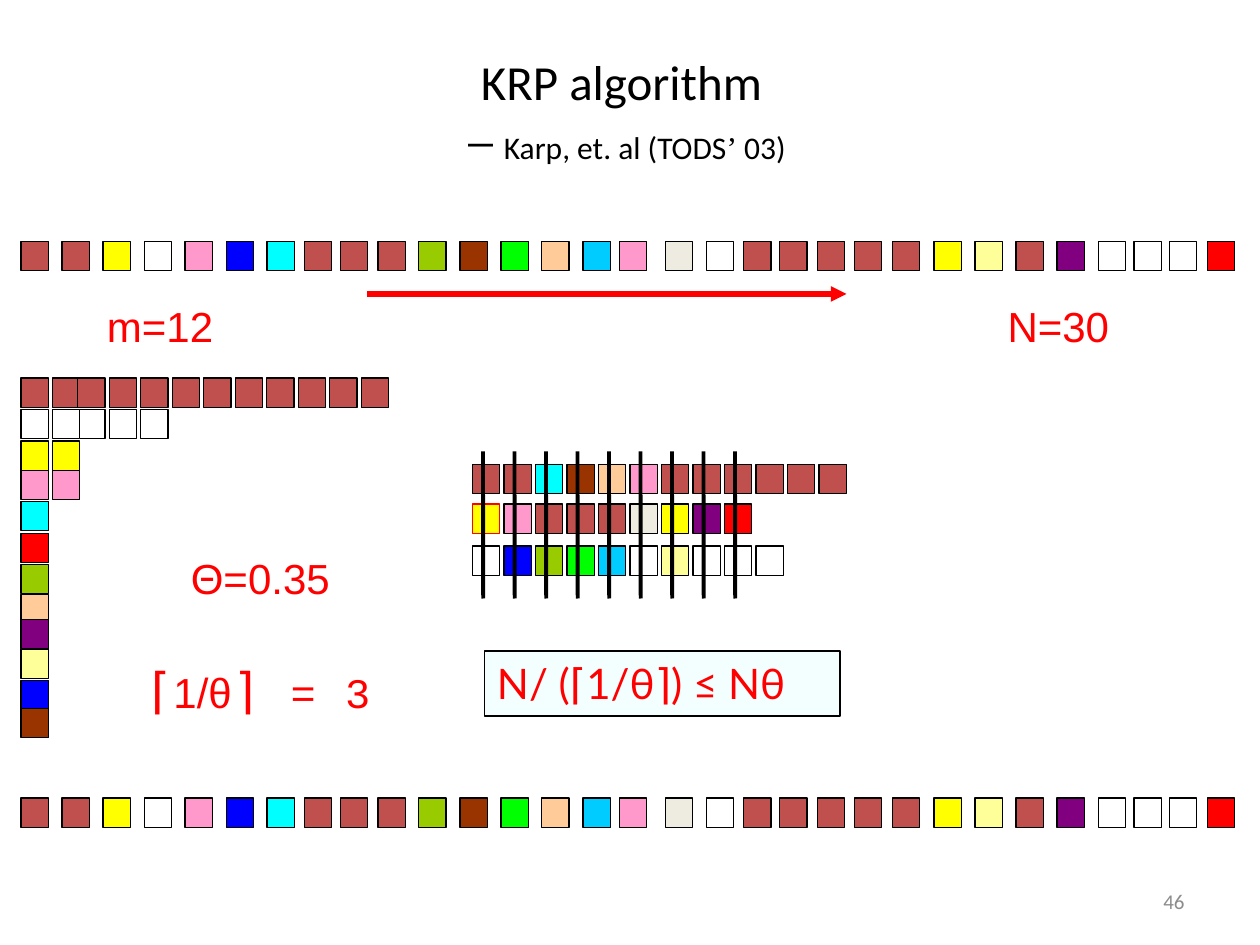
from lxml import etree
from pptx import Presentation
from pptx import util as u
from pptx.dml.color import RGBColor
from pptx.enum import shapes, text
from pptx.oxml import ns

COLORS = {
    "black": "000000", "grey": "8C8C8C", "red": "FF0000", "brick": "C0504D",
    "yellow": "FFFF00", "white": "FFFFFF", "pink": "FF99CC", "blue": "0000FF",
    "cyan": "00FFFF", "olive": "99CC00", "brown": "993300", "lime": "00FF00",
    "peach": "FFCC99", "sky": "00CCFF", "cream": "EEECE1", "lemon": "FFFF99",
    "purple": "800080", "ice": "CCFFFF",
}
ITEM_WIDTH, ITEM_HEIGHT, PITCH = 15.63, 16.75, 18
LEFT = 12

# The stream of items: left edge and colour
STREAM = [
    (12, "brick"), (35.5, "brick"), (58.8, "yellow"), (82.4, "white"),
    (105.8, "pink"), (129.4, "blue"), (152.5, "cyan"), (174, "brick"),
    (194.5, "brick"), (216, "brick"), (239.3, "olive"), (262.8, "brown"),
    (286.3, "lime"), (309.6, "peach"), (333.2, "sky"), (354, "pink"),
    (380.2, "cream"), (403.5, "white"), (425, "brick"), (445.5, "brick"),
    (467, "brick"), (488.3, "brick"), (510, "brick"), (533.7, "yellow"),
    (557.2, "lemon"), (580.5, "brick"), (604, "purple"), (627.6, "white"),
    (648, "white"), (668.3, "white"), (690, "red"),
]
# Items counted by colour: top edge, colour and count
COUNTS = [
    (216, "brick", 12), (234, "white", 5), (252, "yellow", 2),
    (268.8, "pink", 2), (286.5, "cyan", 1), (304.8, "red", 1),
    (322.5, "olive", 1), (339.8, "peach", 1), (354, "purple", 1),
    (370.8, "lemon", 1), (388.8, "blue", 1), (404.8, "brown", 1),
]
# Items grouped for cancelling: top edge and colours
GROUPS = [
    (265.25, "brick brick cyan brown peach pink" + " brick" * 6),
    (288, "yellow pink brick brick brick cream yellow purple red"),
    (312, "white blue olive lime sky white lemon white white white"),
]


def rgb(name):
    return RGBColor.from_string(COLORS[name])


def apply(target, values):
    for name, value in values.items():
        setattr(target, name, value)


def add_box(slide, left, top, width, height, fill, line="black", weight=0.75):
    shape = slide.shapes.add_shape(
        shapes.MSO_SHAPE.RECTANGLE,
        u.Pt(left), u.Pt(top), u.Pt(width), u.Pt(height))
    shape.shadow.inherit = False
    shape.fill.solid()
    shape.fill.fore_color.rgb = rgb(fill)
    shape.line.color.rgb = rgb(line)
    shape.line.width = u.Pt(weight)
    return shape


def add_item(slide, left, top, fill, line="black"):
    add_box(slide, left, top, ITEM_WIDTH, ITEM_HEIGHT, fill, line)


def add_line(slide, start, end, color, weight, arrow=False):
    line = slide.shapes.add_connector(
        shapes.MSO_CONNECTOR.STRAIGHT, *(u.Pt(v) for v in start + end))
    line.line.color.rgb = rgb(color)
    line.line.width = u.Pt(weight)
    if arrow:
        etree.SubElement(line._element.spPr.find(ns.qn("a:ln")),
                         ns.qn("a:tailEnd"), type="triangle")
    etree.SubElement(line._element.spPr, ns.qn("a:effectLst"))


def write(shape, runs, color, align="LEFT", anchor="TOP", wrap=True, indent=0, before=0):
    """Fill a shape with one paragraph of (text, size, font) runs."""
    frame = shape.text_frame
    apply(frame, {"word_wrap": wrap,
                  "vertical_anchor": text.MSO_ANCHOR[anchor]})
    paragraph = frame.paragraphs[0]
    apply(paragraph, {"alignment": text.PP_ALIGN[align],
                      "space_before": u.Pt(before)})
    if indent:
        properties = paragraph._p.get_or_add_pPr()
        properties.set("marL", str(u.Pt(indent)))
        properties.set("indent", "0")
    for words, size, font in runs:
        if words == "\n":
            paragraph.add_line_break()
            continue
        run = paragraph.add_run()
        run.text = words
        apply(run.font, {"size": u.Pt(size), "name": font})
        run.font.color.rgb = rgb(color)


def add_text(slide, left, top, width, height, runs, color, **layout):
    box = slide.shapes.add_textbox(
        u.Pt(left), u.Pt(top), u.Pt(width), u.Pt(height))
    write(box, runs, color, **layout)


def add_label(slide, left, top, width, words):
    add_text(slide, left, top, width, 36, [(words, 24, "Arial")], "red",
             wrap=False, indent=36, before=3)


def add_stream(slide, top):
    for left, color in STREAM:
        add_item(slide, left, top, color)


def add_counts(slide):
    # The third column sits closer; the white row overlaps from right to left
    lefts = [LEFT, LEFT + PITCH] + [44.4 + PITCH * i for i in range(10)]
    for top, color, count in COUNTS:
        row = lefts[:count]
        for left in reversed(row) if color == "white" else row:
            add_item(slide, left, top, color)


def add_groups(slide):
    for top, colors in GROUPS:
        for column, color in enumerate(colors.split()):
            line = "red" if (top, column) == (288, 0) else "black"
            add_item(slide, 270 + PITCH * column, top, color, line)
    # Strokes that cancel each full group
    for column in range(9):
        x = 276 + PITCH * column
        add_line(slide, (x, 258), (x + 0.13, 342), "black", 2.25)


def add_bound(slide):
    box = add_box(slide, 276.9, 372, 203, 37, "ice", weight=1)
    color = box._element.spPr.find(ns.qn("a:solidFill"))[0]
    etree.SubElement(color, ns.qn("a:alpha"), val="22000")
    write(box, [("N/ (⌈1/θ⌉) ≤ Nθ", 24, "Lato")], "red")


def main():
    presentation = Presentation()
    apply(presentation, {"slide_width": u.Pt(720), "slide_height": u.Pt(540)})
    slide = presentation.slides.add_slide(presentation.slide_layouts[6])

    # Title and slide number
    add_text(slide, 74.3, 18, 568, 90, [
        ("KRP algorithm ", 28, "Calibri"), ("\n", 28, "Calibri"),
        ("─ ", 28, "Calibri"), ("Karp, et. al (TODS", 18, "Calibri"),
        ("’", 18, "Times New Roman"), (" 03)", 18, "Calibri"),
    ], "black", align="CENTER", anchor="MIDDLE")
    add_text(slide, 516, 500.5, 168, 28.75, [("46", 12, "Calibri")], "grey",
             align="RIGHT", anchor="MIDDLE")

    # Stream, first and second pass
    for top in (138, 456):
        add_stream(slide, top)
    add_line(slide, (210, 168), (483.75, 168), "red", 3, arrow=True)

    # Counted items and cancelled groups
    add_counts(slide)
    add_groups(slide)

    # Labels and formulas
    add_label(slide, 18, 168, 118, "m=12")
    add_label(slide, 532.7, 168, 116, "N=30")
    add_label(slide, 66, 312, 130, "Θ=0.35")
    add_text(slide, 60, 373.3, 174, 41, [
        ("⌈", 28, "Courier New"), ("1/θ", 24, "Arial"),
        ("⌉ ", 28, "Courier New"), ("=", 24, "Courier New"),
        (" ", 28, "Courier New"), ("3", 24, "Courier New"),
    ], "red", align="CENTER")
    add_bound(slide)

    presentation.save("out.pptx")


if __name__ == "__main__":
    main()
